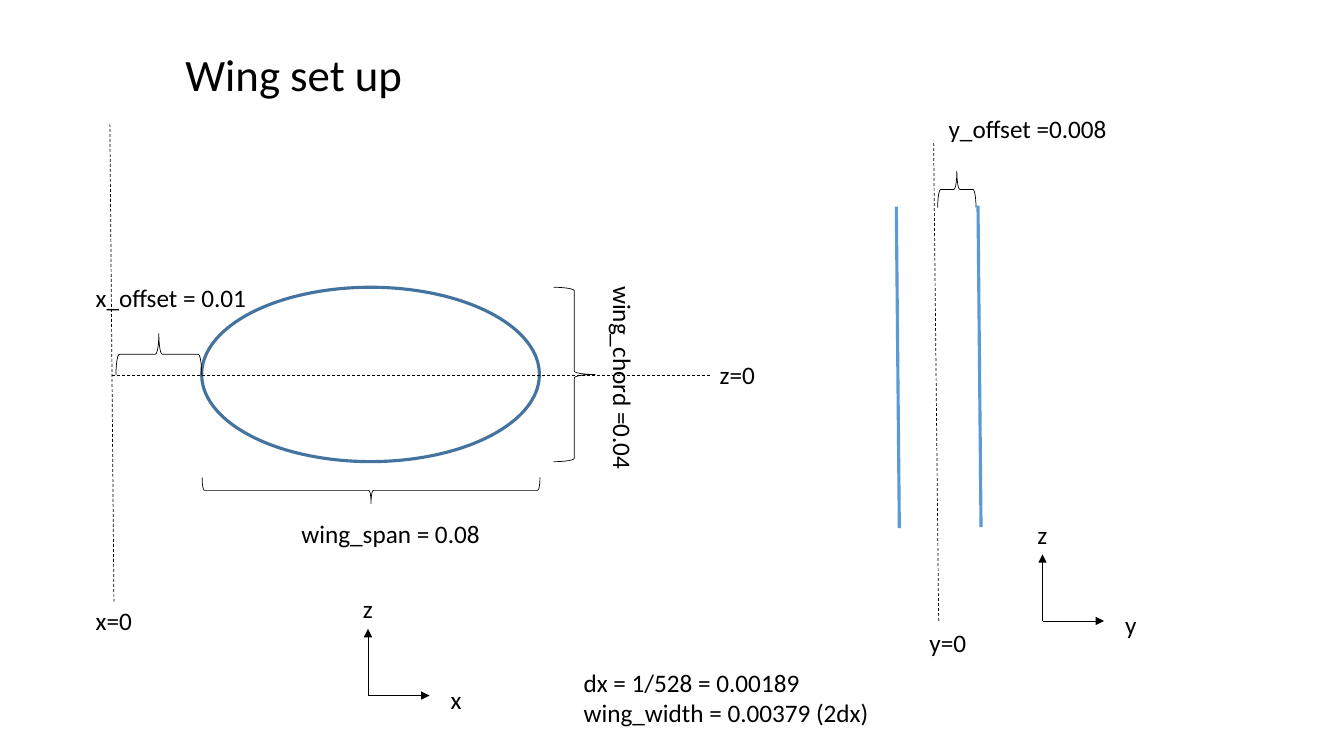
from dataclasses import dataclass

from lxml.etree import SubElement
from pptx import Presentation
from pptx.dml.color import RGBColor
from pptx.enum.dml import MSO_LINE
from pptx.enum.shapes import MSO_CONNECTOR, MSO_SHAPE
from pptx.enum.text import MSO_AUTO_SIZE
from pptx.oxml.ns import qn
from pptx.slide import Slide
from pptx.util import Inches, Pt

BLACK = RGBColor(0x00, 0x00, 0x00)
WING_BLUE = RGBColor(0x5B, 0x9B, 0xD5)
OUTLINE_BLUE = RGBColor(0x43, 0x73, 0x9E)
FONT = "Calibri"
THIN, THICK = 0.5, 2.25
LABEL_HEIGHT = 0.4


@dataclass(frozen=True)
class Label:
    text: str
    left: float
    top: float
    width: float
    height: float = LABEL_HEIGHT
    size: float = 18
    rotation: float = 0


@dataclass(frozen=True)
class Stroke:
    start: tuple[float, float]
    end: tuple[float, float]
    color: RGBColor = BLACK
    width: float = THIN
    dashed: bool = False
    arrow: bool = False


@dataclass(frozen=True)
class Outline:
    preset: MSO_SHAPE
    left: float
    top: float
    width: float
    height: float
    rotation: float = 0
    color: RGBColor = BLACK
    line_width: float = THIN


@dataclass(frozen=True)
class Axes:
    left: float
    top: float
    horizontal_name: str


STROKES = [
    Stroke((8.89, 2.05), (8.92, 5.24), WING_BLUE, THICK),
    Stroke((9.7, 2.04), (9.73, 5.23), WING_BLUE, THICK),
    Stroke((9.26, 1.42), (9.31, 6.16), dashed=True),
    Stroke((7.04, 3.72), (1.11, 3.72), dashed=True),
    Stroke((1.09, 1.23), (1.13, 5.97), dashed=True),
]
OUTLINES = [
    Outline(MSO_SHAPE.OVAL, 2, 2.85, 3.35, 1.73, color=OUTLINE_BLUE, line_width=THICK),
    Outline(MSO_SHAPE.LEFT_BRACE, 9.31, 1.69, 0.36, 0.38, 90),
    Outline(MSO_SHAPE.LEFT_BRACE, 1.37, 3.09, 0.41, 0.85, 90),
    Outline(MSO_SHAPE.LEFT_BRACE, 3.55, 3.19, 0.26, 3.35, 270),
    Outline(MSO_SHAPE.LEFT_BRACE, 5.49, 2.85, 0.41, 1.73, 180),
]
AXES = [Axes(10.34, 6.16, "y"), Axes(3.65, 6.9, "x")]
LABELS = [
    Label("Wing set up", 1.74, 0.41, 2.38, 0.64, size=32),
    Label("y_offset =0.008", 9.31, 1.08, 1.85),
    Label("z=0", 7.04, 3.52, 0.56),
    Label("y=0", 9.12, 6.17, 0.57),
    Label("x=0", 0.85, 5.96, 0.57),
    Label("x_offset = 0.01", 0.85, 2.75, 1.77),
    Label("wing_span = 0.08", 2.89, 5.09, 2.05),
    Label("wing_chord =0.04", 5.13, 3.59, 2.1, rotation=90),
    Label("dx = 1/528 = 0.00189\nwing_width = 0.00379 (2dx)", 5.69, 6.57, 3.06, 0.71),
]


def add_text(slide: Slide, text: str, *, left: float, top: float, width: float,
             height: float = LABEL_HEIGHT, size: float = 18, rotation: float = 0) -> None:
    shape = slide.shapes.add_textbox(Inches(left), Inches(top), Inches(width), Inches(height))
    shape.rotation = rotation
    frame = shape.text_frame
    frame.word_wrap = False
    frame.auto_size = MSO_AUTO_SIZE.SHAPE_TO_FIT_TEXT
    frame.text = text
    for paragraph in frame.paragraphs:
        font = paragraph.runs[0].font
        font.name = FONT
        font.size = Pt(size)
        font.color.rgb = BLACK


def add_stroke(slide: Slide, stroke: Stroke) -> None:
    connector = slide.shapes.add_connector(
        MSO_CONNECTOR.STRAIGHT, *map(Inches, (*stroke.start, *stroke.end)))
    line = connector.line
    line.color.rgb = stroke.color
    line.width = Pt(stroke.width)
    if stroke.dashed:
        line.dash_style = MSO_LINE.DASH
    properties = connector._element.spPr
    if stroke.arrow:
        SubElement(properties.find(qn("a:ln")), qn("a:tailEnd"), type="triangle")
    SubElement(properties, qn("a:effectLst"))


def add_outline(slide: Slide, outline: Outline) -> None:
    shape = slide.shapes.add_shape(
        outline.preset, Inches(outline.left), Inches(outline.top),
        Inches(outline.width), Inches(outline.height))
    shape.rotation = outline.rotation
    shape.shadow.inherit = False
    shape.fill.background()
    shape.line.color.rgb = outline.color
    shape.line.width = Pt(outline.line_width)


def add_axes(slide: Slide, axes: Axes) -> None:
    """Draw a vertical z arrow and a named horizontal arrow from one origin."""
    origin = (axes.left, axes.top)
    add_stroke(slide, Stroke(origin, (axes.left + 0.61, axes.top), arrow=True))
    add_stroke(slide, Stroke(origin, (axes.left, axes.top - 0.66), arrow=True))
    add_text(slide, "z", left=axes.left - 0.15, top=axes.top - 1.06, width=0.3)
    add_text(slide, axes.horizontal_name, left=axes.left + 0.72, top=axes.top - 0.16, width=0.32)


def main() -> None:
    presentation = Presentation()
    presentation.slide_width = Inches(13.33)
    presentation.slide_height = Inches(7.5)
    slide = presentation.slides.add_slide(presentation.slide_layouts[6])
    for outline in OUTLINES:
        add_outline(slide, outline)
    for stroke in STROKES:
        add_stroke(slide, stroke)
    for axes in AXES:
        add_axes(slide, axes)
    for label in LABELS:
        add_text(slide, label.text, left=label.left, top=label.top, width=label.width,
                 height=label.height, size=label.size, rotation=label.rotation)
    presentation.save("out.pptx")


if __name__ == "__main__":
    main()
